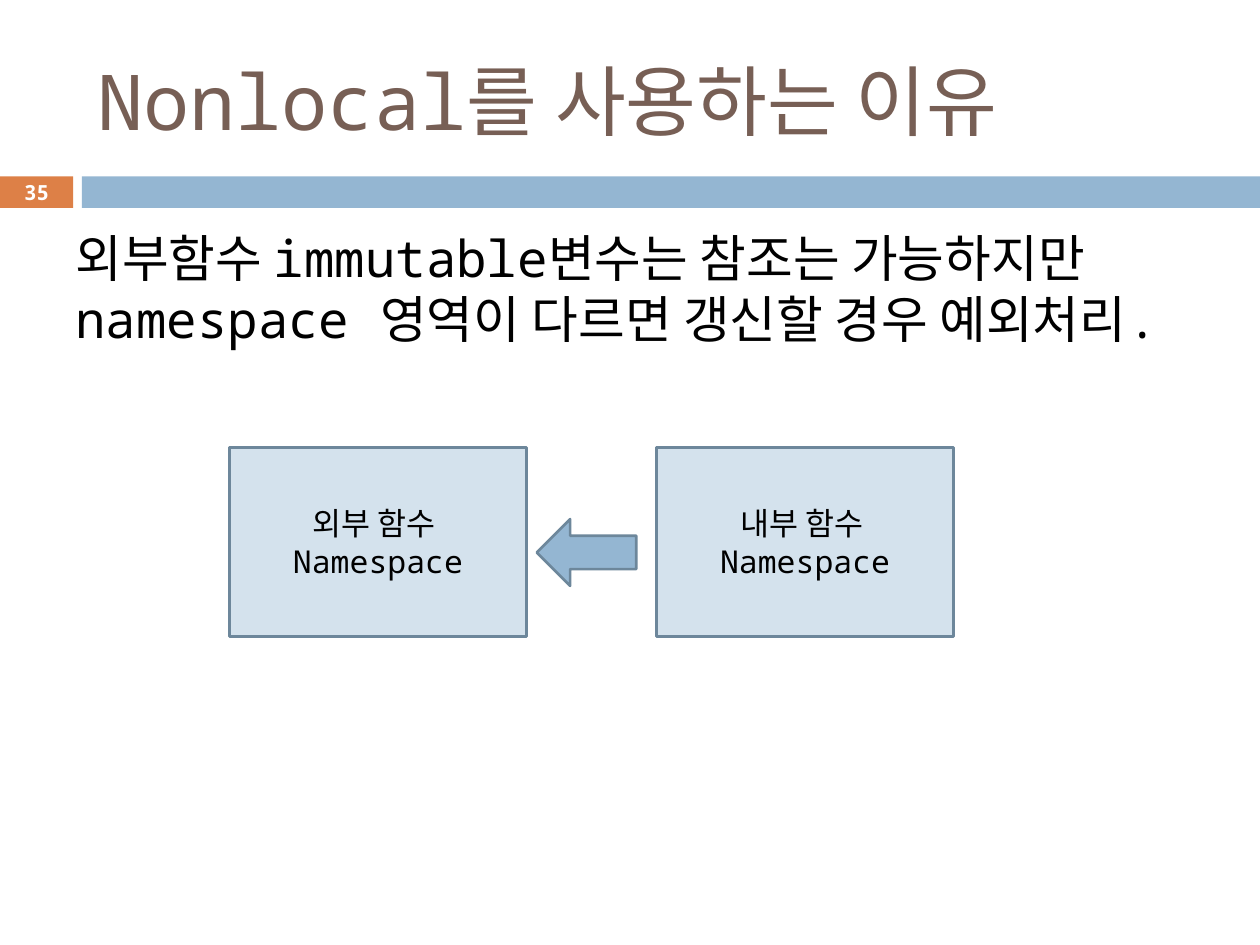
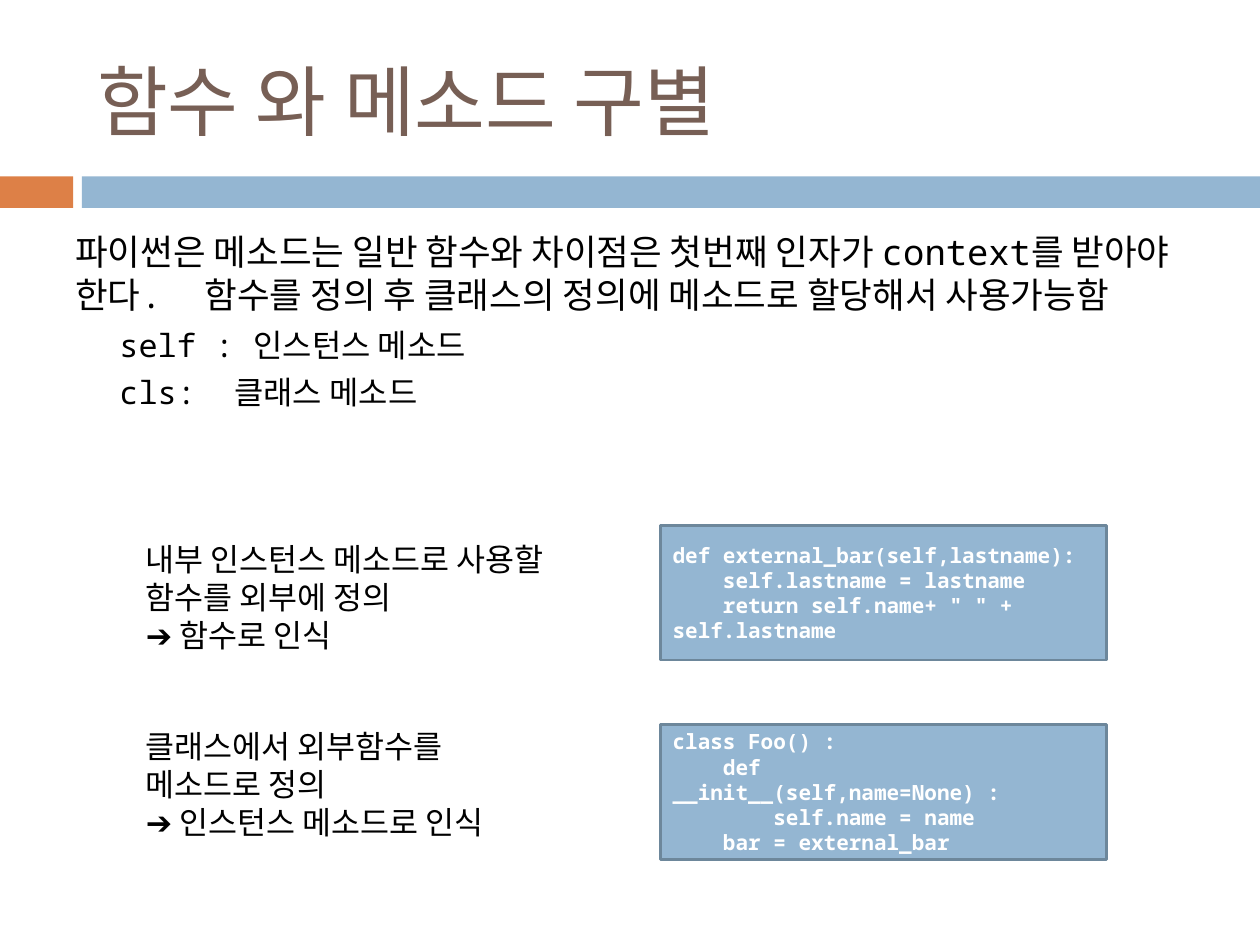
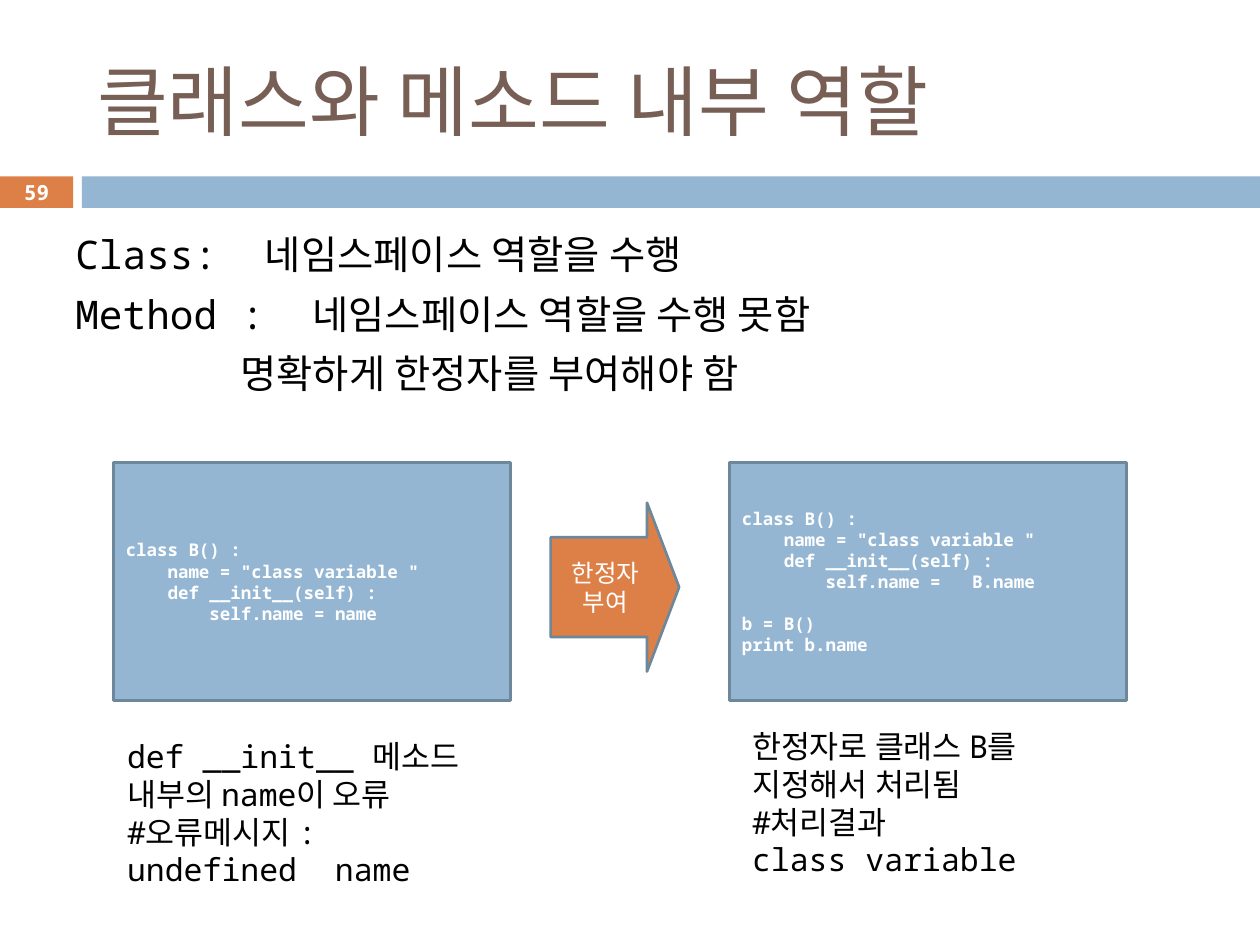
from pptx import Presentation
from pptx.dml.color import RGBColor
from pptx.enum.shapes import MSO_SHAPE as Shape
from pptx.enum.text import MSO_ANCHOR as Anchor, MSO_AUTO_SIZE as AutoSize, PP_ALIGN as Align
from pptx.util import Inches, Pt

FONT = "Noto Sans Mono"
BLACK = RGBColor(0x00, 0x00, 0x00)
WHITE = RGBColor(0xFF, 0xFF, 0xFF)
BROWN = RGBColor(0x77, 0x5F, 0x55)
ORANGE = RGBColor(0xDD, 0x80, 0x47)
BLUE = RGBColor(0x94, 0xB6, 0xD2)
PALE_BLUE = RGBColor(0xD4, 0xE2, 0xED)
OUTLINE = RGBColor(0x6D, 0x87, 0x9B)

# Content: a paragraph is a string, or (string, {size, indent, before})
NONLOCAL_BODY = ["외부함수 immutable변수는 참조는 가능하지만 namespace 영역이 다르면 갱신할 경우 예외처리."]
NAMESPACES = [["외부 함수 ", "Namespace"], ["내부 함수 ", "Namespace"]]

SUB_ITEM = {"size": 18.2, "indent": 0.35, "before": 5.5}
METHOD_BODY = [
    "파이썬은 메소드는 일반 함수와 차이점은 첫번째 인자가 context를 받아야 한다.  "
    "함수를 정의 후 클래스의 정의에 메소드로 할당해서 사용가능함",
    ("self : 인스턴스 메소드", SUB_ITEM),
    ("cls:  클래스 메소드", SUB_ITEM),
]
# (code top, code lines, note top, note lines)
METHOD_STEPS = [
    (4.17,
     ["def external_bar(self,lastname):",
      "    self.lastname = lastname",
      '    return self.name+ " " + self.lastname'],
     4.24,
     ["내부 인스턴스 메소드로 사용할 함수를 외부에 정의", "➔ 함수로 인식"]),
    (5.75,
     ["class Foo() :",
      "    def __init__(self,name=None) :",
      "        self.name = name",
      "    bar = external_bar"],
     5.72,
     ["클래스에서 외부함수를 메소드로 정의", "➔ 인스턴스 메소드로 인식"]),
]

ROLE_BODY = [
    "Class:  네임스페이스 역할을 수행",
    "Method :  네임스페이스 역할을 수행 못함",
    ("명확하게 한정자를 부여해야 함", {"indent": 1.31}),
]
CLASS_HEAD = ["class B() :", '    name = "class variable "', "    def __init__(self) :"]
# (code left, code lines, note left, note top, note lines)
ROLE_CASES = [
    (0.9, CLASS_HEAD + ["        self.name = name"],
     0.91, 5.8,
     ["def __init__ 메소드 내부의 name이 오류", "#오류메시지 :", "undefined  name"]),
    (5.79,
     CLASS_HEAD + ["        self.name =   B.name", ("b = B()", {"before": 12}), "print b.name"],
     5.87, 5.72,
     ["한정자로 클래스 B를 지정해서 처리됨", "#처리결과", "class variable"]),
]
QUALIFIER = ["한정자", "부여"]


def write_text(frame, paragraphs, size, color=BLACK, bold=False,
               align=Align.LEFT, anchor=Anchor.TOP, before=0):
    frame.word_wrap = True
    frame.auto_size = AutoSize.NONE
    frame.vertical_anchor = anchor
    for index, item in enumerate(paragraphs):
        text, options = (item, {}) if isinstance(item, str) else item
        paragraph = frame.paragraphs[0] if index == 0 else frame.add_paragraph()
        paragraph.text = text
        paragraph.alignment = align
        paragraph.space_before = Pt(options.get("before", before))
        font = paragraph.font
        font.size = Pt(options.get("size", size))
        font.name = FONT
        font.bold = bold
        font.color.rgb = color
        if "indent" in options:
            paragraph._p.pPr.set("marL", str(Inches(options["indent"])))


def add_text(slide, box, paragraphs, size, **style):
    text_box = slide.shapes.add_textbox(*map(Inches, box))
    write_text(text_box.text_frame, paragraphs, size, **style)


def add_block(slide, box, fill, kind=Shape.RECTANGLE, outlined=True):
    shape = slide.shapes.add_shape(kind, *map(Inches, box))
    shape.shadow.inherit = False
    shape.fill.solid()
    shape.fill.fore_color.rgb = fill
    if outlined:
        shape.line.color.rgb = OUTLINE
        shape.line.width = Pt(1.5)
    else:
        shape.line.fill.background()
    return shape


def add_code(slide, box, lines, size):
    block = add_block(slide, box, BLUE)
    write_text(block.text_frame, lines, size, WHITE, bold=True, anchor=Anchor.MIDDLE)


def add_slide(presentation, title, body, body_box, body_size, number=None):
    """Add a slide with the shared title, bands, body text and page number."""
    slide = presentation.slides.add_slide(presentation.slide_layouts[5])
    add_block(slide, (0, 1.4, 0.58, 0.25), ORANGE, outlined=False)
    add_block(slide, (0.65, 1.4, 9.35, 0.25), BLUE, outlined=False)
    heading = slide.shapes.title
    heading.left, heading.top, heading.width, heading.height = map(Inches, (0.67, 0.25, 8.92, 1.08))
    write_text(heading.text_frame, [title], 44, BROWN, anchor=Anchor.MIDDLE)
    add_text(slide, body_box, body, body_size, before=7)
    if number:
        add_text(slide, (0, 1.39, 0.58, 0.27), [number], 11.9, color=WHITE, bold=True,
                 align=Align.CENTER, anchor=Anchor.MIDDLE)
    return slide


def build_nonlocal(presentation):
    slide = add_slide(presentation, "Nonlocal를 사용하는 이유", NONLOCAL_BODY,
                      (0.5, 1.75, 9, 1.53), 29, "35")
    for index, lines in enumerate(NAMESPACES):
        block = add_block(slide, (1.82 + index * 3.39, 3.55, 2.36, 1.5), PALE_BLUE)
        write_text(block.text_frame, lines, 18, align=Align.CENTER, anchor=Anchor.MIDDLE)
    add_block(slide, (4.26, 4.12, 0.79, 0.53), BLUE, Shape.LEFT_ARROW)


def build_methods(presentation):
    slide = add_slide(presentation, "함수 와 메소드 구별", METHOD_BODY, (0.5, 1.78, 9, 1.89), 20.3)
    for code_top, code, note_top, note in METHOD_STEPS:
        add_code(slide, (5.24, code_top, 3.54, 1.07), code, 12)
        add_text(slide, (1.06, note_top, 3.46, 1.01), note, 18)


def build_roles(presentation):
    slide = add_slide(presentation, "클래스와 메소드 내부 역할", ROLE_BODY,
                      (0.5, 1.78, 9, 1.5), 22.5, "59")
    for code_left, code, note_left, note_top, note in ROLE_CASES:
        add_code(slide, (code_left, 3.67, 3.15, 1.89), code, 10)
        add_text(slide, (note_left, note_top, 2.99, 1.31), note, 18)
    arrow = add_block(slide, (4.37, 3.99, 1.02, 1.34), ORANGE, Shape.RIGHT_ARROW)
    arrow.adjustments[0] = 0.59
    arrow.adjustments[1] = 0.25
    write_text(arrow.text_frame, QUALIFIER, 14, WHITE, align=Align.CENTER, anchor=Anchor.MIDDLE)


def main():
    presentation = Presentation()
    presentation.slide_width = Inches(10)
    presentation.slide_height = Inches(7.5)
    build_nonlocal(presentation)
    build_methods(presentation)
    build_roles(presentation)
    presentation.save("out.pptx")


if __name__ == "__main__":
    main()
